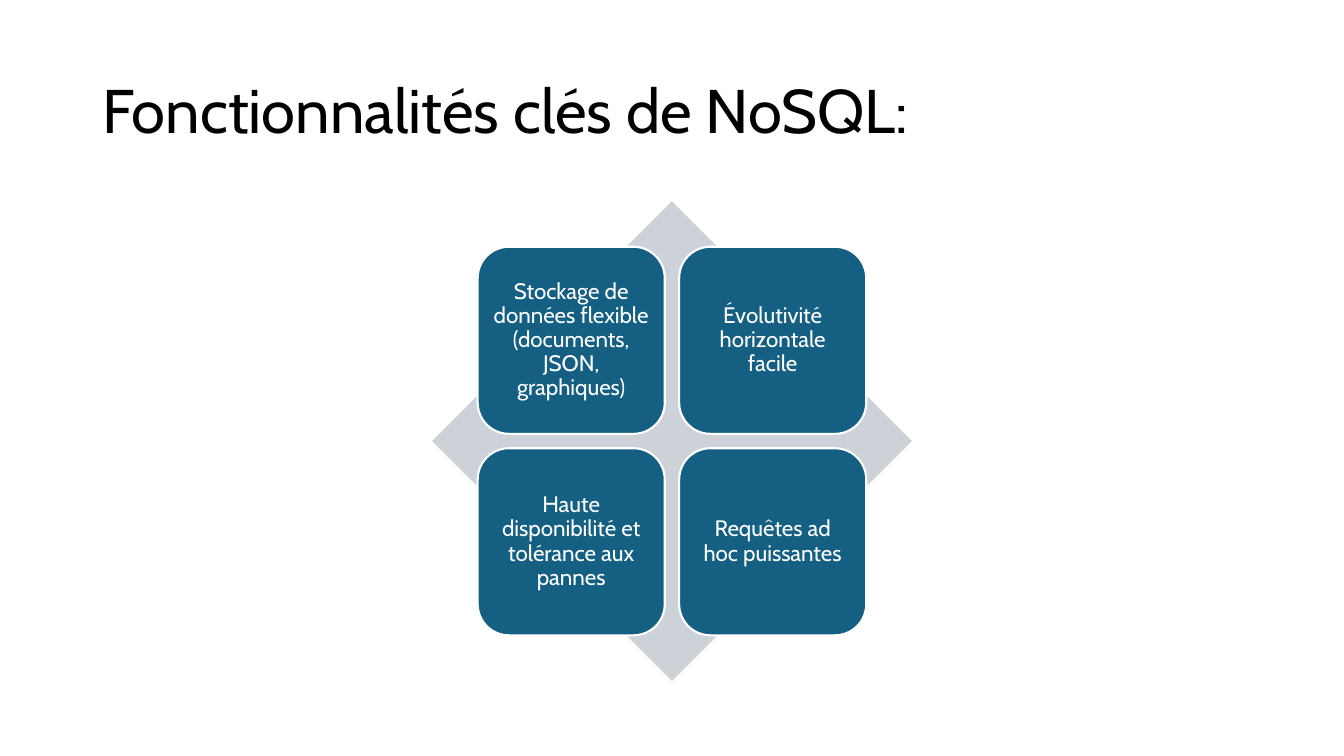
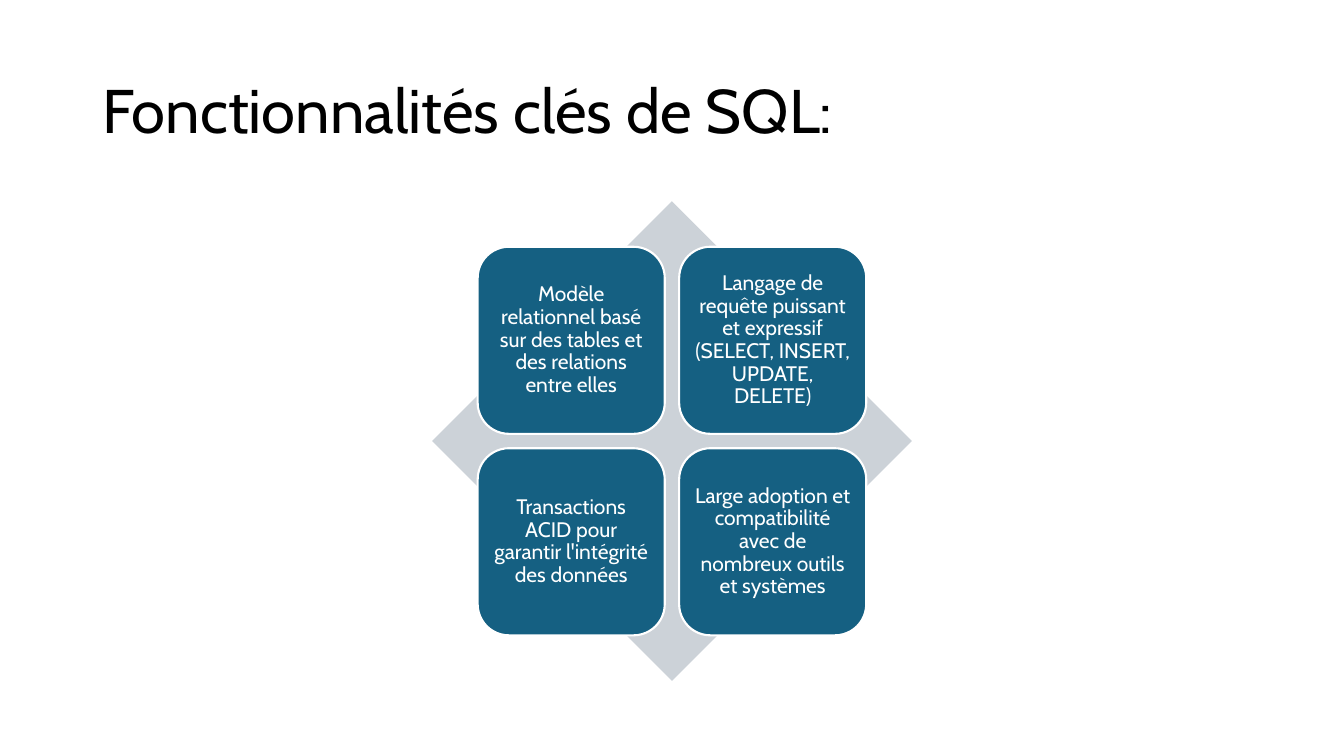
from dataclasses import dataclass

from pptx import Presentation
from pptx.dml.color import RGBColor
from pptx.enum.shapes import MSO_SHAPE
from pptx.enum.text import MSO_ANCHOR, PP_ALIGN
from pptx.shapes.autoshape import Shape
from pptx.shapes.group import GroupShape
from pptx.slide import Slide
from pptx.util import Pt

DIAMOND = MSO_SHAPE.DIAMOND
ROUNDED = MSO_SHAPE.ROUNDED_RECTANGLE
MIDDLE = MSO_ANCHOR.MIDDLE
LEFT, CENTER = PP_ALIGN.LEFT, PP_ALIGN.CENTER

COLORS = {"title": "000000", "diamond": "CCD2D8", "tile": "156082", "white": "FFFFFF"}
FONT = "Cabin"
LINE_SPACING = 0.9

# All lengths are in points.
SLIDE_WIDTH, SLIDE_HEIGHT = 960, 540
TITLE_BOX = (66, 28.75, 828, 104.38)
TITLE_SIZE = 44
DIAMOND_SIZE = 342.63
DIAMOND_LEFT = (SLIDE_WIDTH - DIAMOND_SIZE) / 2
DIAMOND_TOP = 143.75
TILE_SIZE = 0.39 * DIAMOND_SIZE
TILE_MARGIN = 0.095 * DIAMOND_SIZE
TILE_PITCH = DIAMOND_SIZE - 2 * TILE_MARGIN - TILE_SIZE
TILE_BORDER = 1.5
INSET_PER_FONT_SIZE = 0.3


@dataclass(frozen=True)
class FeatureSlide:
    title: str
    features: tuple[str, str, str, str]
    feature_size: int


FEATURE_SLIDES = (
    FeatureSlide(
        "Fonctionnalités clés de NoSQL:",
        (
            "Stockage de données flexible (documents, JSON, graphiques)",
            "Évolutivité horizontale facile",
            "Haute disponibilité et tolérance aux pannes",
            "Requêtes ad hoc puissantes",
        ),
        16,
    ),
    FeatureSlide(
        "Fonctionnalités clés de SQL:",
        (
            "Modèle relationnel basé sur des tables et des relations entre elles",
            "Langage de requête puissant et expressif (SELECT, INSERT, UPDATE, DELETE)",
            "Transactions ACID pour garantir l'intégrité des données",
            "Large adoption et compatibilité avec de nombreux outils et systèmes",
        ),
        15,
    ),
)


def rgb(color: str) -> RGBColor:
    return RGBColor.from_string(COLORS[color])


def write(shape: Shape, text: str, size: float, color: str, align: PP_ALIGN) -> None:
    frame = shape.text_frame
    frame.word_wrap = True
    frame.vertical_anchor = MIDDLE
    frame.text = text
    paragraph = frame.paragraphs[0]
    paragraph.alignment = align
    paragraph.line_spacing = LINE_SPACING
    font = paragraph.runs[0].font
    font.name = FONT
    font.size = Pt(size)
    font.color.rgb = rgb(color)


def add_title(slide: Slide, text: str) -> None:
    title = slide.shapes.add_textbox(*map(Pt, TITLE_BOX))
    write(title, text, TITLE_SIZE, "title", LEFT)


def add_square(
    group: GroupShape, kind: MSO_SHAPE, left: float, top: float, size: float, color: str
) -> Shape:
    """Add a borderless preset shape of equal width and height."""
    square = group.shapes.add_shape(kind, Pt(left), Pt(top), Pt(size), Pt(size))
    square.shadow.inherit = False
    square.fill.solid()
    square.fill.fore_color.rgb = rgb(color)
    square.line.fill.background()
    return square


def add_tile(group: GroupShape, index: int, text: str, size: int) -> None:
    row, column = divmod(index, 2)
    left = DIAMOND_LEFT + TILE_MARGIN + column * TILE_PITCH
    top = DIAMOND_TOP + TILE_MARGIN + row * TILE_PITCH
    tile = add_square(group, ROUNDED, left, top, TILE_SIZE, "tile")
    tile.line.color.rgb = rgb("white")
    tile.line.width = Pt(TILE_BORDER)
    write(tile, text, size, "white", CENTER)
    frame = tile.text_frame
    inset = Pt(size * INSET_PER_FONT_SIZE)
    frame.margin_left = frame.margin_right = inset
    frame.margin_top = frame.margin_bottom = inset


def add_matrix(slide: Slide, content: FeatureSlide) -> None:
    """Draw the four feature tiles over the diamond."""
    matrix = slide.shapes.add_group_shape()
    add_square(matrix, DIAMOND, DIAMOND_LEFT, DIAMOND_TOP, DIAMOND_SIZE, "diamond")
    for index, feature in enumerate(content.features):
        add_tile(matrix, index, feature, content.feature_size)


def main() -> None:
    presentation = Presentation()
    presentation.slide_width = Pt(SLIDE_WIDTH)
    presentation.slide_height = Pt(SLIDE_HEIGHT)
    blank = presentation.slide_layouts[6]
    for content in FEATURE_SLIDES:
        slide = presentation.slides.add_slide(blank)
        add_title(slide, content.title)
        add_matrix(slide, content)
    presentation.save("out.pptx")


if __name__ == "__main__":
    main()
